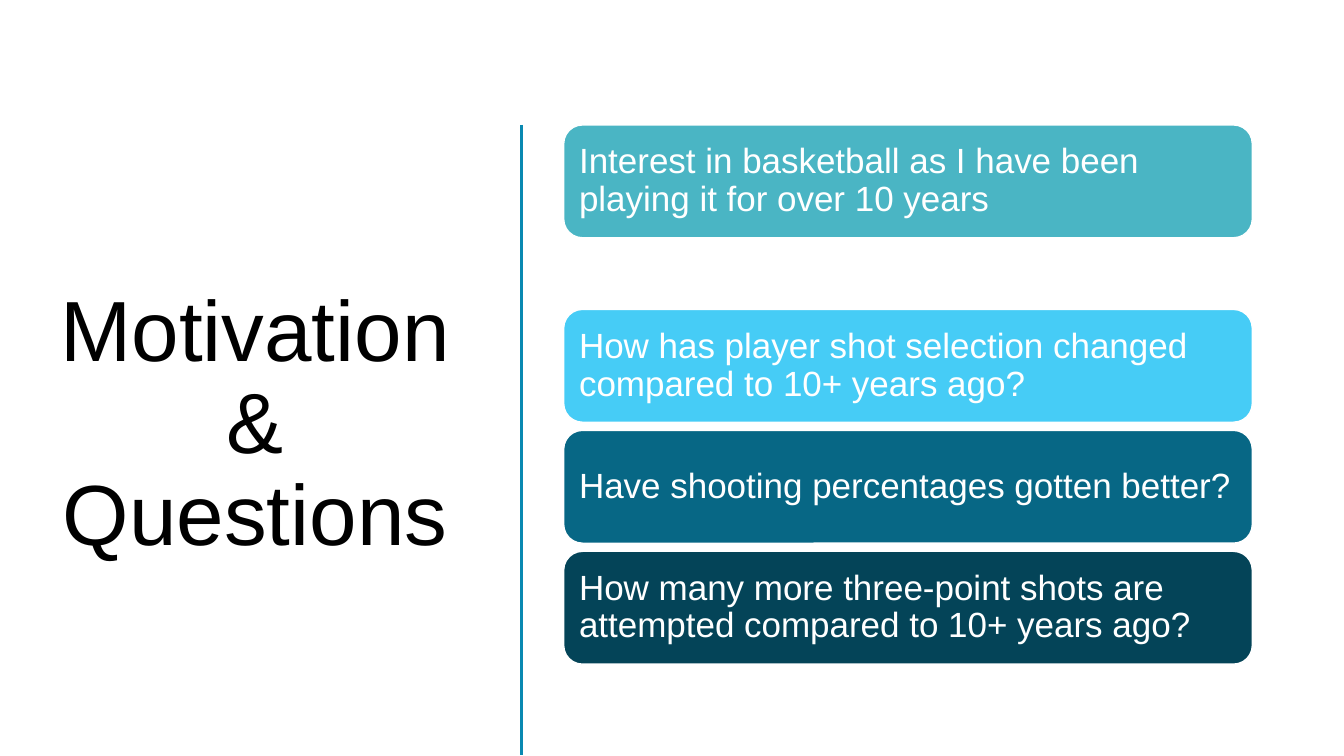
from lxml import etree
from pptx import Presentation
from pptx.dml.color import RGBColor
from pptx.enum.shapes import MSO_CONNECTOR, MSO_SHAPE
from pptx.enum.text import MSO_ANCHOR, PP_ALIGN
from pptx.oxml.ns import qn
from pptx.util import Inches, Pt

ROUND = MSO_SHAPE.ROUNDED_RECTANGLE
STRAIGHT = MSO_CONNECTOR.STRAIGHT
MIDDLE = MSO_ANCHOR.MIDDLE
LEFT, CENTER = PP_ALIGN.LEFT, PP_ALIGN.CENTER

COLORS = {
    "ink": "000000",
    "white": "FFFFFF",
    "rule": "0989B1",
    "teal": "4AB5C4",
    "sky": "46CCF6",
    "blue": "076785",
    "navy": "044458",
}
CARDS = [
    (0, "teal", "Interest in basketball as I have been playing it for over 10 years"),
    (1, "sky", "How has player shot selection changed compared to 10+ years ago?"),
    (2, "blue", "Have shooting percentages gotten better?"),
    (3, "navy", "How many more three-point shots are attempted compared to 10+ years ago?"),
]
TOP = 16.53
PITCH = 16
GAP = 8.4


def color(name):
    return RGBColor.from_string(COLORS[name])


def write(frame, text, size=25, ink="white", align=LEFT, font="Arial"):
    frame.word_wrap = True
    frame.vertical_anchor = MIDDLE
    frame.margin_left = frame.margin_right = Inches(0.1)
    frame.margin_top = frame.margin_bottom = Inches(0.1)
    frame.text = text
    para = frame.paragraphs[0]
    para.alignment = align
    para.line_spacing = 0.9
    para.font.name = font
    para.font.size = Pt(size)
    para.font.color.rgb = color(ink)


class Page:
    def __init__(self, deck, layout=5, parts=100):
        self.slide = deck.slides.add_slide(deck.slide_layouts[layout])
        self.col = deck.slide_width / parts
        self.row = deck.slide_height / parts

    def grid(self, x, y, wide, high):
        return (int(x * self.col), int(y * self.row),
                int(wide * self.col), int(high * self.row))

    def title(self, text, *area):
        shape = self.slide.shapes.title
        shape.left, shape.top, shape.width, shape.height = self.grid(*area)
        write(shape.text_frame, text, size=61, ink="ink", align=CENTER)

    def rule(self, x, top, end):
        ends = self.grid(x, top, x, end)
        line = self.slide.shapes.add_connector(STRAIGHT, *ends)
        line.line.color.rgb = color("rule")
        line.line.width = Pt(2)
        etree.SubElement(line._element.spPr, qn("a:effectLst"))

    def card(self, text, fill, *area):
        shape = self.slide.shapes.add_shape(ROUND, *self.grid(*area))
        shape.shadow.inherit = False
        shape.fill.solid()
        shape.fill.fore_color.rgb = color(fill)
        shape.line.color.rgb = color("white")
        shape.line.width = Pt(1)
        write(shape.text_frame, text)


def main():
    deck = Presentation()
    deck.slide_width = Inches(13.33)
    deck.slide_height = Inches(7.5)
    page = Page(deck)
    page.title("Motivation & Questions", 1.73, 15.6, 34.5, 81.47)
    page.rule(38.78, TOP, 99.87)
    for slot, fill, text in CARDS:
        top = TOP + slot * PITCH + (GAP if slot else 0)
        page.card(text, fill, 41.94, top, 51.24, 14.93)
    deck.save("out.pptx")


if __name__ == "__main__":
    main()
